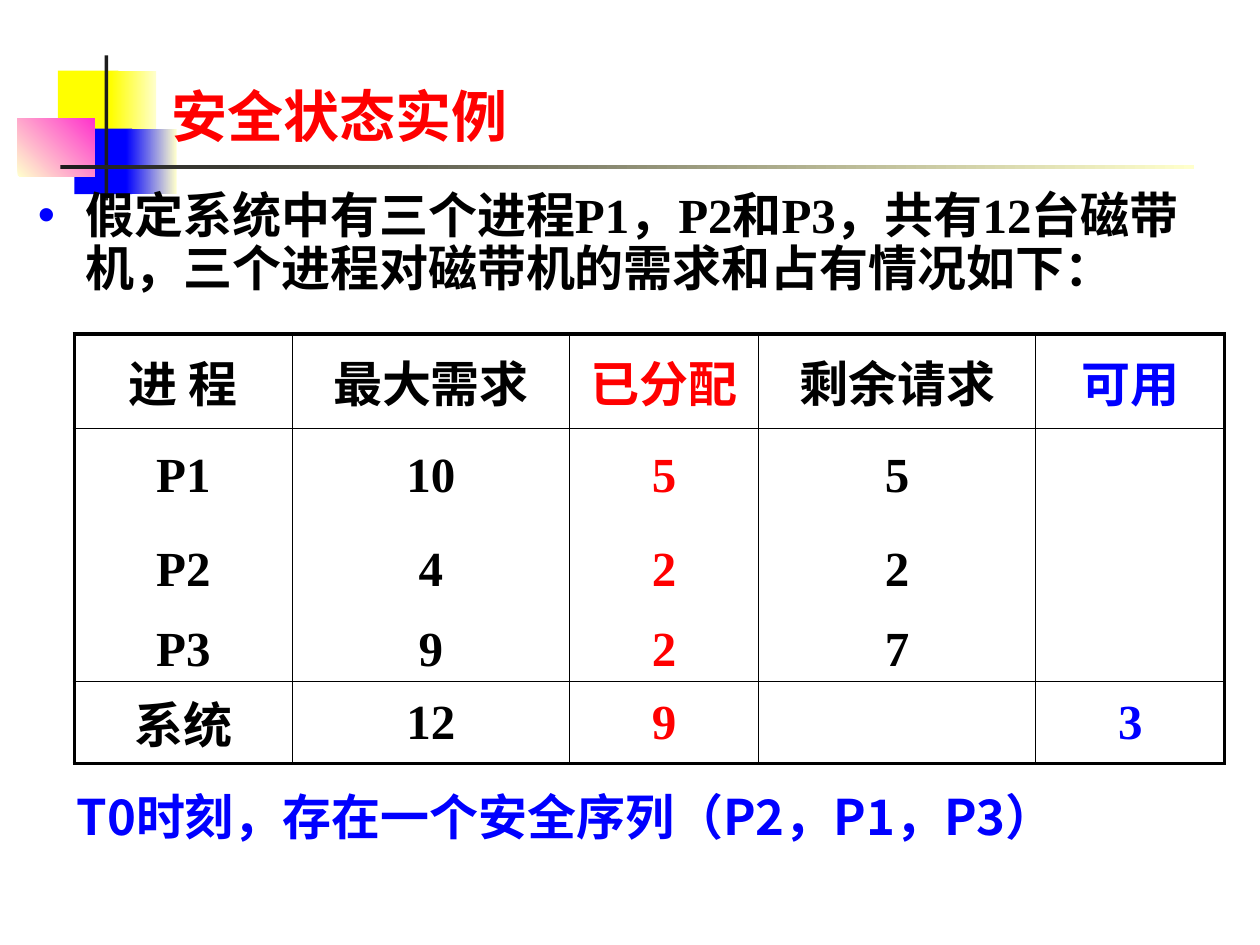
from lxml import etree
from pptx import Presentation
from pptx import util as u
from pptx.dml.color import RGBColor
from pptx.enum import shapes, text
from pptx.oxml import ns

SERIF, SANS = "Times New Roman", "Noto Sans CJK SC"
BLACK, RED, BLUE = "000000", "FF0000", "0000FF"
YELLOW, CREAM, PINK, INK = "FFFF00", "FFFFCC", "FF33CC", "1C1C1C"

# left, top, width, height, colours (two make a gradient), gradient angle
ORNAMENTS = [
    (0.46, 0.56, 0.48, 0.52, [YELLOW], 0),
    (0.88, 0.56, 0.36, 0.52, [YELLOW, CREAM], 0),
    (0.59, 1.02, 0.46, 0.52, [BLUE], 0),
    (1.00, 1.02, 0.40, 0.52, [BLUE, CREAM], 0),
    (0.14, 0.94, 0.61, 0.46, [CREAM, PINK], 45),
    (0.83, 0.44, 0.03, 1.15, [INK], 0),
    (0.48, 1.31, 9.00, 0.03, [INK, CREAM], 0),
]

COLUMN_WIDTHS = [1.73, 2.2, 1.5, 2.2, 1.5]
COLUMN_COLORS = [BLACK, BLACK, RED, BLACK, BLUE]
ROW_HEIGHTS = [0.75, 0.75, 0.75, 0.51, 0.65]
ROWS = [
    ["进 程", "最大需求", "已分配", "剩余请求", "可用"],
    ["P1", "10", "5", "5", ""],
    ["P2", "4", "2", "2", ""],
    ["P3", "9", "2", "7", ""],
    ["系统", "12", "9", "", "3"],
]
RULED_EDGES = {0: 2.25, 1: 1, 4: 1, 5: 2.25}  # horizontal edge: points


def color(value):
    return RGBColor.from_string(value)


def inches(*lengths):
    return [u.Inches(length) for length in lengths]


def add_xml(parent, tag, **attributes):
    return etree.SubElement(parent, ns.qn(tag), attributes)


class SlideBuilder:
    def __init__(self, slide):
        self.slide = slide
        self.title_box, self.body_box = slide.placeholders

    def add_words(self, para, words, size, font, fill, **layout):
        for name, value in layout.items():
            setattr(para, name, value)
        span = para.add_run()
        span.text = words
        formats = {"size": u.Pt(size), "name": font, "bold": True}
        for name, value in formats.items():
            setattr(span.font, name, value)
        span.font.color.rgb = color(fill)
        add_xml(span.font._element, "a:ea", typeface=SANS)

    def place(self, box, at, **frame):
        box.left, box.top, box.width, box.height = inches(*at)
        settings = {"word_wrap": True, "auto_size": text.MSO_AUTO_SIZE.NONE, **frame}
        for name, value in settings.items():
            setattr(box.text_frame, name, value)
        return box.text_frame.paragraphs[0]

    def ornament(self, left, top, width, height, colors, angle):
        """Add a borderless rectangle behind the title."""
        shape = self.slide.shapes.add_shape(
            shapes.MSO_SHAPE.RECTANGLE, *inches(left, top, width, height))
        shape.shadow.inherit = False
        shape.line.fill.background()
        if len(colors) == 1:
            shape.fill.solid()
            shape.fill.fore_color.rgb = color(colors[0])
        else:
            shape.fill.gradient()
            shape.fill.gradient_angle = angle
            for stop, value in zip(shape.fill.gradient_stops, colors):
                stop.color.rgb = color(value)
        self.title_box.element.addprevious(shape.element)

    def title(self, words, at):
        para = self.place(self.title_box, at, vertical_anchor=text.MSO_ANCHOR.BOTTOM)
        self.add_words(para, words, 32, SERIF, RED, alignment=text.PP_ALIGN.LEFT)

    def bullet(self, words, at):
        para = self.place(self.body_box, at)
        self.add_words(para, words, 28, SERIF, BLACK,
                       line_spacing=0.9, space_before=u.Pt(5.6))
        properties = para._p.get_or_add_pPr()
        indent = u.Inches(0.38)
        properties.set("marL", str(indent))
        properties.set("indent", str(-indent))
        bullet_color = add_xml(properties, "a:buClr")
        add_xml(bullet_color, "a:srgbClr", val=BLUE)
        add_xml(properties, "a:buFont", typeface="Arial")
        add_xml(properties, "a:buChar", char="•")

    def note(self, words, at):
        box = self.slide.shapes.add_textbox(*inches(*at))
        para = self.place(box, at, auto_size=text.MSO_AUTO_SIZE.SHAPE_TO_FIT_TEXT)
        self.add_words(para, words, 28, SANS, BLUE, space_before=u.Pt(14))

    def borders(self, cell, widths):
        """Draw left, right, top and bottom edges; a width of 0 hides one."""
        properties = cell._tc.get_or_add_tcPr()
        for side, width in zip("LRTB", widths):
            line = add_xml(properties, f"a:ln{side}", w=str(u.Pt(width)))
            if width:
                fill = add_xml(line, "a:solidFill")
                add_xml(fill, "a:srgbClr", val=BLACK)
            else:
                add_xml(line, "a:noFill")

    def table(self, rows, left, top):
        size = inches(left, top, sum(COLUMN_WIDTHS), sum(ROW_HEIGHTS))
        table = self.slide.shapes.add_table(len(rows), len(rows[0]), *size).table
        table.first_row = table.horz_banding = False
        for column, width in zip(table.columns, COLUMN_WIDTHS):
            column.width = u.Inches(width)
        for row, height in zip(table.rows, ROW_HEIGHTS):
            row.height = u.Inches(height)
        last = len(COLUMN_WIDTHS) - 1
        for r, words in enumerate(rows):
            for c, word in enumerate(words):
                cell = table.cell(r, c)
                self.borders(cell, [2.25 if c == 0 else 1, 2.25 if c == last else 1,
                                    RULED_EDGES.get(r, 0), RULED_EDGES.get(r + 1, 0)])
                cell.fill.background()
                cell.vertical_anchor = text.MSO_ANCHOR.MIDDLE
                cell.margin_top = cell.margin_bottom = u.Inches(0.02)
                if word:
                    self.add_words(cell.text_frame.paragraphs[0], word, 28, SERIF,
                                   COLUMN_COLORS[c], alignment=text.PP_ALIGN.CENTER,
                                   space_before=u.Pt(5.6))


def main():
    deck = Presentation()
    deck.slide_width, deck.slide_height = inches(10, 7.5)
    page = SlideBuilder(deck.slides.add_slide(deck.slide_layouts[1]))
    for ornament in ORNAMENTS:
        page.ornament(*ornament)
    page.title("安全状态实例", (1.26, 0.28, 8.52, 0.95))
    page.bullet("假定系统中有三个进程P1，P2和P3，共有12台磁带机，"
                "三个进程对磁带机的需求和占有情况如下：", (0.2, 1.47, 9.53, 1.12))
    page.table(ROWS, 0.59, 2.65)
    page.note("T0时刻，存在一个安全序列（P2，P1，P3）", (0.51, 6.19, 8.11, 0.57))
    deck.save("out.pptx")


if __name__ == "__main__":
    main()
